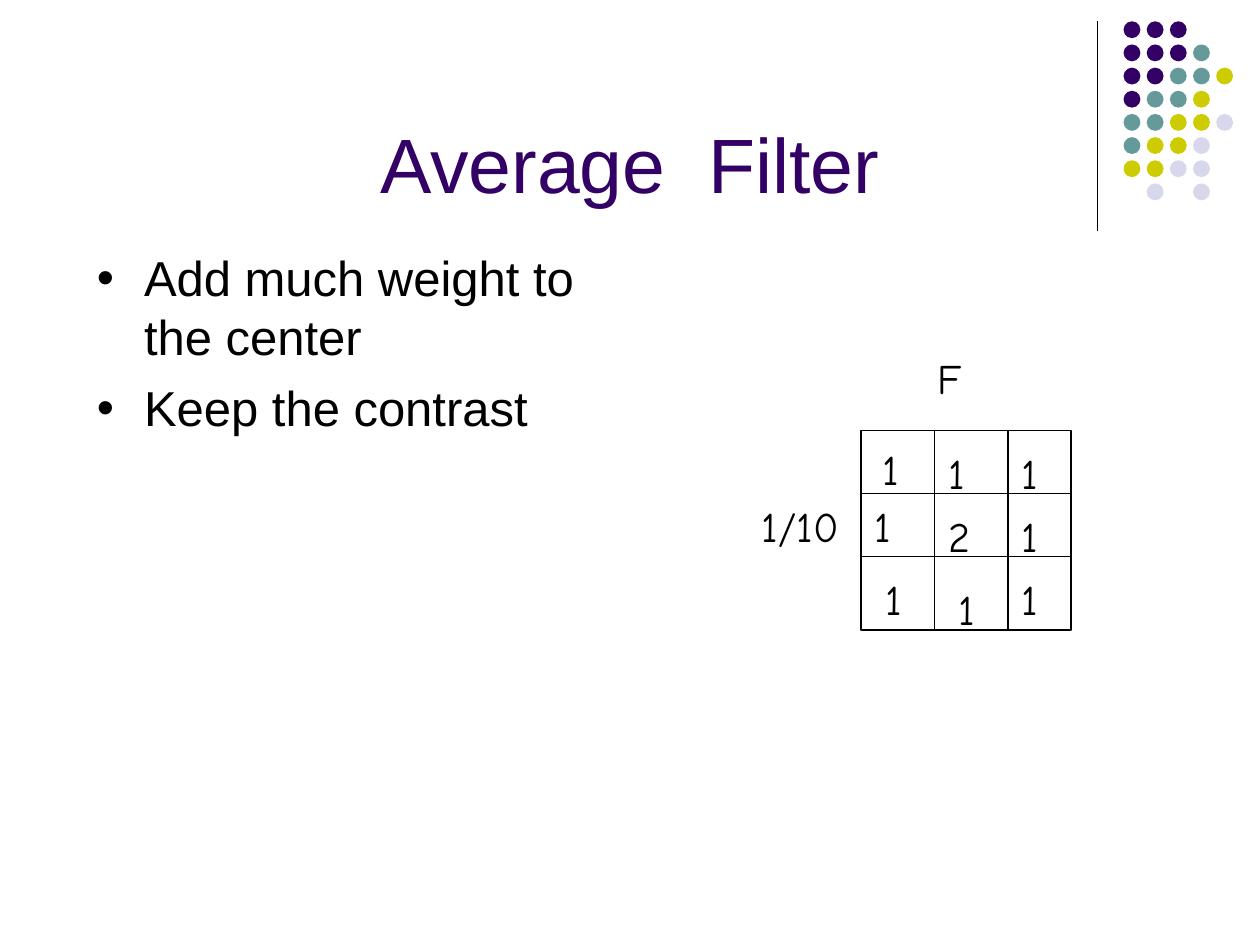
from lxml import etree
from pptx import Presentation
from pptx import util as u
from pptx.dml.color import RGBColor
from pptx.enum import shapes, text
from pptx.oxml import ns

PURPLE = RGBColor(0x33, 0x00, 0x66)
TEAL = RGBColor(0x66, 0x99, 0x99)
LIME = RGBColor(0xCC, 0xCC, 0x00)
LAVENDER = RGBColor(0xD8, 0xD8, 0xEC)
BLACK = RGBColor(0x00, 0x00, 0x00)


class SlideBuilder:
    """Holds the style and the current slide; positions are in centimetres."""

    main_font = "Arial"
    label_font = "Comic Neue"
    line_width = u.Pt(0.75)

    def __init__(self, slide):
        self.slide = slide

    def place(self, shape, left, top, width, height):
        shape.left, shape.top = u.Cm(left), u.Cm(top)
        shape.width, shape.height = u.Cm(width), u.Cm(height)

    def style(self, paragraph, font_name, size, color):
        for run in paragraph.runs:
            run.font.name = font_name
            run.font.size = u.Pt(size)
            run.font.color.rgb = color

    def title(self, wording, *box):
        shape = self.slide.shapes.title
        self.place(shape, *box)
        frame = shape.text_frame
        frame.text = wording
        frame.auto_size = text.MSO_AUTO_SIZE.NONE
        frame.vertical_anchor = text.MSO_ANCHOR.MIDDLE
        frame.paragraphs[0].alignment = text.PP_ALIGN.CENTER
        self.style(frame.paragraphs[0], self.main_font, 44, PURPLE)

    def bullets(self, items, *box):
        shape = self.slide.placeholders[1]
        self.place(shape, *box)
        frame = shape.text_frame
        frame.text = "\n".join(items)
        frame.auto_size = text.MSO_AUTO_SIZE.NONE
        for index, paragraph in enumerate(frame.paragraphs):
            paragraph.space_before = u.Pt(7 if index else 0)
            properties = paragraph._p.get_or_add_pPr()
            properties.set("marL", str(u.Cm(0.95)))
            properties.set("indent", str(-u.Cm(0.95)))
            etree.SubElement(properties, ns.qn("a:buChar"), char="•")
            self.style(paragraph, self.main_font, 28, BLACK)

    def line(self, x1, y1, x2, y2):
        connector = self.slide.shapes.add_connector(
            shapes.MSO_CONNECTOR.STRAIGHT, u.Cm(x1), u.Cm(y1), u.Cm(x2), u.Cm(y2))
        connector.line.color.rgb = BLACK
        connector.line.width = self.line_width
        etree.SubElement(connector._element.spPr, ns.qn("a:effectLst"))

    def dot(self, left, top, size, color):
        shape = self.slide.shapes.add_shape(
            shapes.MSO_SHAPE.OVAL, u.Cm(left), u.Cm(top), u.Cm(size), u.Cm(size))
        shape.shadow.inherit = False
        shape.fill.solid()
        shape.fill.fore_color.rgb = color
        shape.line.fill.background()

    def frame(self, left, top, width, height):
        shape = self.slide.shapes.add_shape(
            shapes.MSO_SHAPE.RECTANGLE, u.Cm(left), u.Cm(top), u.Cm(width), u.Cm(height))
        shape.shadow.inherit = False
        shape.fill.background()
        shape.line.color.rgb = BLACK
        shape.line.width = self.line_width

    def label(self, wording, left, top, width=0.84):
        shape = self.slide.shapes.add_textbox(
            u.Cm(left), u.Cm(top), u.Cm(width), u.Cm(1.27))
        frame = shape.text_frame
        frame.word_wrap = False
        frame.auto_size = text.MSO_AUTO_SIZE.SHAPE_TO_FIT_TEXT
        frame.text = wording
        self.style(frame.paragraphs[0], self.label_font, 24, BLACK)


def main():
    presentation = Presentation()
    presentation.slide_width, presentation.slide_height = u.Cm(25.4), u.Cm(19.05)
    slide = presentation.slides.add_slide(presentation.slide_layouts[1])
    builder = SlideBuilder(slide)

    # Corner decoration: a rule and a pattern of dots
    builder.line(22.12, 0.43, 22.12, 4.65)
    dot_colors = {"P": PURPLE, "T": TEAL, "L": LIME, "V": LAVENDER}
    dot_rows = ["PPP", "PPPT", "PPTTL", "PTTL", "TTLLV", "TLLV", "LLVV", ".V.V"]
    for row, codes in enumerate(dot_rows):
        for column, code in enumerate(codes):
            if code in dot_colors:
                builder.dot(22.65 + 0.467 * column, 0.43 + 0.467 * row, 0.34,
                            dot_colors[code])

    # Title and list
    builder.title("Average  Filter", 1.9, 1.7, 21.6, 3.17)
    builder.bullets(["Add much weight to the center", "Keep the contrast"],
                    1.7, 4.87, 10.58, 11.43)

    # Filter grid
    left, top, right, bottom = 17.36, 8.68, 21.59, 12.7
    builder.frame(left, top, right - left, bottom - top)
    for x in (18.84, 20.32):
        builder.line(x, top, x, bottom)
    for y in (9.95, 11.22):
        builder.line(left, y, right, y)

    # Weights, row by row, each with its own place in the cell
    weights = [
        ("1", 17.55, 8.81), ("1", 18.87, 8.89), ("1", 20.35, 8.89),
        ("1", 17.37, 9.96), ("2", 18.87, 10.16), ("1", 20.35, 10.16),
        ("1", 17.6, 11.43), ("1", 19.08, 11.63), ("1", 20.35, 11.43),
    ]
    for weight, x, y in weights:
        builder.label(weight, x, y)

    # Filter name and scale factor
    builder.label("F", 18.64, 6.99, 0.99)
    builder.label("1/10", 15.11, 9.96, 2.06)

    presentation.save("out.pptx")


if __name__ == "__main__":
    main()
